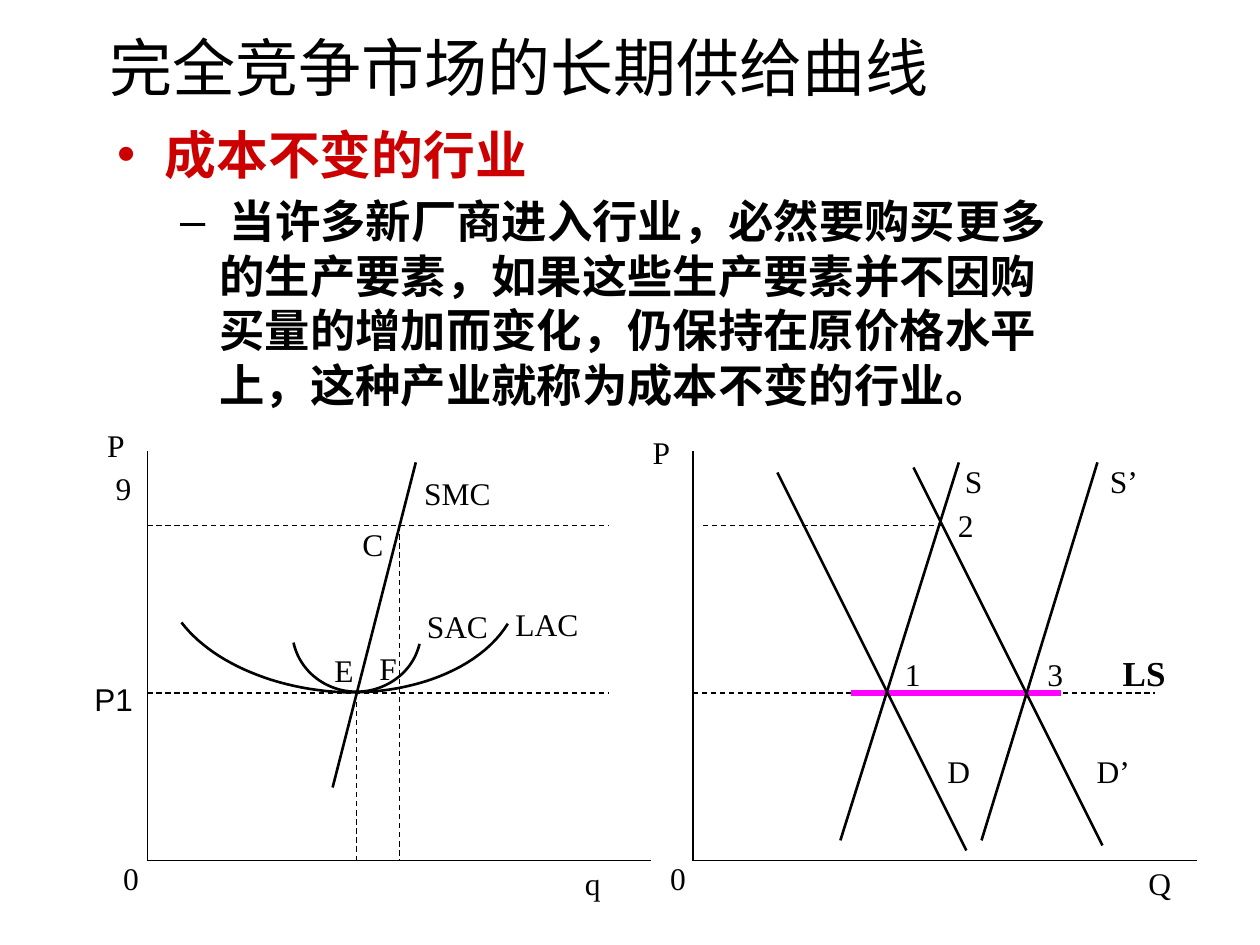
from typing import NamedTuple

from lxml import etree
from pptx import Presentation
from pptx.dml.color import RGBColor
from pptx.enum.dml import MSO_LINE
from pptx.enum.shapes import MSO_CONNECTOR
from pptx.enum.text import MSO_ANCHOR, MSO_AUTO_SIZE, PP_ALIGN
from pptx.oxml.ns import qn
from pptx.util import Inches, Pt

STRAIGHT = MSO_CONNECTOR.STRAIGHT
DASH = MSO_LINE.DASH
MIDDLE = MSO_ANCHOR.MIDDLE
FIXED_SIZE = MSO_AUTO_SIZE.NONE
LEFT, CENTER = PP_ALIGN.LEFT, PP_ALIGN.CENTER
BLACK, RED, MAGENTA = "000000", "CC0000", "FF00FF"
SERIF, SANS = "Times New Roman", "Arial"
THIN, CURVE, SUPPLY = 0.75, 1.5, 3
ORIGIN_Y, AXIS_TOP, AXIS_LENGTH = 6.83, 3.58, 4
FIRM_X, MARKET_X = 1.17, 5.5
HIGH_PRICE, LOW_PRICE = 4.17, 5.5
LABEL_HEIGHT = 0.4

Point = tuple[float, float]


class Segment(NamedTuple):
    start: Point
    end: Point
    width: float = CURVE
    color: str = BLACK
    dashed: bool = False


class Label(NamedTuple):
    text: str
    left: float
    top: float
    width: float
    size: float = 18
    bold: bool = False
    font: str = SERIF
    centered: bool = True


def guide(start: Point, end: Point) -> Segment:
    return Segment(start, end, THIN, dashed=True)


def axes(x: float) -> list[Segment]:
    origin = (x, ORIGIN_Y)
    return [Segment(origin, (x + AXIS_LENGTH, ORIGIN_Y), THIN),
            Segment(origin, (x, AXIS_TOP), THIN)]


SEGMENTS = [
    *axes(FIRM_X),
    *axes(MARKET_X),
    guide((FIRM_X, LOW_PRICE), (4.83, LOW_PRICE)),
    guide((FIRM_X, HIGH_PRICE), (4.83, HIGH_PRICE)),
    guide((3.17, HIGH_PRICE), (3.17, ORIGIN_Y)),
    guide((2.83, LOW_PRICE), (2.83, ORIGIN_Y)),
    guide((MARKET_X, LOW_PRICE), (9.17, LOW_PRICE)),
    guide((5.58, HIGH_PRICE), (7.5, HIGH_PRICE)),
    Segment((2.64, 6.25), (3.3, 3.67)),
    Segment((6.75, LOW_PRICE), (8.42, LOW_PRICE), SUPPLY, MAGENTA),
    Segment((6.17, 3.75), (7.67, 6.75)),
    Segment((7.25, 3.71), (8.75, 6.71)),
    Segment((6.67, 6.67), (7.61, 3.67)),
    Segment((7.79, 6.67), (8.71, 3.67)),
]

# Each cost curve is two cubic Bezier arcs: a start, then three points per arc.
COST_CURVES = [
    [(2.33, 5.1), (2.38, 5.33), (2.59, 5.49), (2.83, 5.49),
     (3.07, 5.49), (3.28, 5.33), (3.33, 5.11)],
    [(1.44, 4.94), (1.67, 5.24), (2.13, 5.45), (2.65, 5.49),
     (3.25, 5.53), (3.81, 5.31), (4.03, 4.95)],
]

LABELS = [
    Label("SMC", 3.17, 3.71, 0.92),
    Label("SAC", 3.17, 4.77, 0.92),
    Label("LAC", 3.88, 4.75, 0.92),
    Label("C", 2.5, 4.12, 0.92),
    Label("E", 2.27, 5.12, 0.92),
    Label("F", 2.62, 5.1, 0.92),
    Label("9", 0.77, 3.67, 0.42),
    Label("0", 0.83, 6.77, 0.42),
    Label("P", 0.42, 3.33, 1),
    Label("q", 4.33, 6.81, 0.75),
    Label("P1", 0.65, 5.35, 0.51, font=SANS, centered=False),
    Label("0", 5.17, 6.77, 0.42),
    Label("P", 4.75, 3.39, 1),
    Label("2", 7.5, 3.97, 0.33),
    Label("1", 7.08, 5.15, 0.33),
    Label("3", 8.21, 5.15, 0.33),
    Label("LS", 8.67, 5.12, 0.82, size=20, bold=True),
    Label("S", 7.56, 3.62, 0.33),
    Label("S’", 8.67, 3.62, 0.5),
    Label("D", 7.42, 5.92, 0.33),
    Label("D’", 8.5, 5.92, 0.67),
    Label("Q", 8.83, 6.81, 0.75),
]


def rgb(color: str) -> RGBColor:
    return RGBColor.from_string(color)


def style_font(paragraph, size: float, font: str, color: str = BLACK, bold: bool = False) -> None:
    paragraph.font.size = Pt(size)
    paragraph.font.name = font
    paragraph.font.bold = bold
    paragraph.font.color.rgb = rgb(color)


def place(shape, left: float, top: float, width: float, height: float) -> None:
    shape.left, shape.top = Inches(left), Inches(top)
    shape.width, shape.height = Inches(width), Inches(height)


def draw_segment(shapes, segment: Segment) -> None:
    ends = [Inches(value) for value in (*segment.start, *segment.end)]
    connector = shapes.add_connector(STRAIGHT, *ends)
    connector.line.width = Pt(segment.width)
    connector.line.color.rgb = rgb(segment.color)
    if segment.dashed:
        connector.line.dash_style = DASH
    etree.SubElement(connector.element.spPr, qn("a:effectLst"))


def bezier(controls: list[Point], t: float) -> Point:
    weights = ((1 - t) ** 3, 3 * t * (1 - t) ** 2, 3 * t ** 2 * (1 - t), t ** 3)
    x, y = (sum(w * c for w, c in zip(weights, axis)) for axis in zip(*controls))
    return Inches(x), Inches(y)


def draw_cost_curve(shapes, controls: list[Point], steps: int = 24) -> None:
    points = [bezier(controls[first:first + 4], step / steps)
              for first in range(0, len(controls) - 1, 3)
              for step in range(1, steps + 1)]
    start_x, start_y = controls[0]
    builder = shapes.build_freeform(Inches(start_x), Inches(start_y))
    builder.add_line_segments(points, close=False)
    curve = builder.convert_to_shape()
    curve.shadow.inherit = False
    curve.fill.background()
    curve.line.color.rgb = rgb(BLACK)
    curve.line.width = Pt(CURVE)


def draw_label(shapes, label: Label) -> None:
    box = shapes.add_textbox(Inches(label.left), Inches(label.top),
                             Inches(label.width), Inches(LABEL_HEIGHT))
    frame = box.text_frame
    frame.word_wrap = label.centered
    paragraph = frame.paragraphs[0]
    paragraph.text = label.text
    paragraph.alignment = CENTER if label.centered else LEFT
    style_font(paragraph, label.size, label.font, bold=label.bold)


def fill_placeholders(slide) -> None:
    title = slide.shapes.title
    place(title, 0.77, 0.05, 9, 0.95)
    title.text_frame.vertical_anchor = MIDDLE
    heading = title.text_frame.paragraphs[0]
    heading.text = "完全竞争市场的长期供给曲线"
    heading.alignment = LEFT
    style_font(heading, 36, SANS)

    body = slide.placeholders[1]
    place(body, 0.83, 0.92, 7.77, 2.42)
    frame = body.text_frame
    frame.auto_size = FIXED_SIZE
    topic = frame.paragraphs[0]
    topic.text = "成本不变的行业"
    style_font(topic, 29.6, SANS, RED, bold=True)
    definition = frame.add_paragraph()
    definition.level = 1
    definition.text = (" 当许多新厂商进入行业，必然要购买更多的生产要素，"
                       "如果这些生产要素并不因购买量的增加而变化，"
                       "仍保持在原价格水平上，这种产业就称为成本不变的行业。")
    style_font(definition, 25.9, SANS, bold=True)


def main() -> None:
    presentation = Presentation()
    presentation.slide_width, presentation.slide_height = Inches(10), Inches(7.5)
    slide = presentation.slides.add_slide(presentation.slide_layouts[1])
    fill_placeholders(slide)
    for segment in SEGMENTS:
        draw_segment(slide.shapes, segment)
    for controls in COST_CURVES:
        draw_cost_curve(slide.shapes, controls)
    for label in LABELS:
        draw_label(slide.shapes, label)
    presentation.save("out.pptx")


if __name__ == "__main__":
    main()
